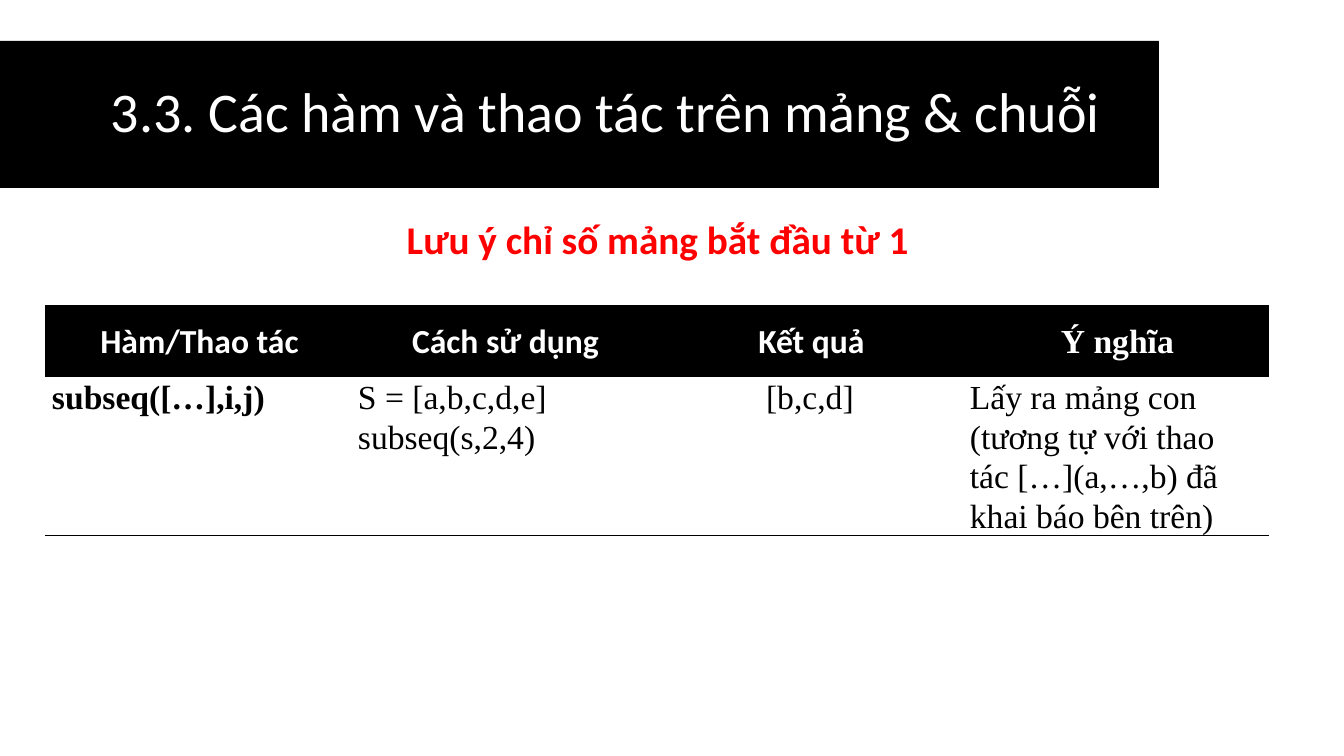
from pptx import Presentation
from pptx import util as u
from pptx.dml.color import RGBColor
from pptx.enum import shapes, text
from pptx.oxml import parse_xml
from pptx.oxml.ns import nsdecls

SANS, SERIF = "Calibri", "Times New Roman"
BLACK, WHITE, RED = "000000", "FFFFFF", "FF0000"
LEFT, CENTER = text.PP_ALIGN.LEFT, text.PP_ALIGN.CENTER
PLAIN_TABLE = "{2D5ABB26-0587-4C30-8999-92F81FD0307C}"

TITLE = "3.3. Các hàm và thao tác trên mảng & chuỗi"
NOTE = "Lưu ý chỉ số mảng bắt đầu từ 1"
# text, font
HEADER = [
    ("Hàm/Thao tác", SANS),
    ("Cách sử dụng", SANS),
    ("Kết quả", SANS),
    ("Ý nghĩa", SERIF),
]
# lines, bold, alignment
BODY = [
    (["subseq([…],i,j)"], True, LEFT),
    (["S = [a,b,c,d,e]", "subseq(s,2,4)"], False, LEFT),
    (["[b,c,d]"], False, CENTER),
    (["Lấy ra mảng con (tương tự với thao tác […](a,…,b) đã khai báo bên trên)"],
     False, LEFT),
]

# Lengths in px
TITLE_AT = (0, 41, 1159, 147)
TITLE_INDENT = 111
NOTE_AT = (100, 216, 1115, 61)
TABLE_LEFT, TABLE_TOP = 45, 305
COLUMN_WIDTH = 306
ROW_HEIGHTS = (71, 158)
HEADER_INSETS = (10, 14, 7, 14)
BODY_INSETS = (7, 0, 7, 0)


def px(length):
    return u.Inches(length / 100.8)


def color(value):
    return RGBColor.from_string(value)


def write(frame, lines, size, font, ink, bold=False, align=LEFT, spacing=0.9):
    frame.word_wrap = True
    for index, line in enumerate(lines):
        para = frame.add_paragraph() if index else frame.paragraphs[0]
        para.text = line
        para.alignment = align
        para.line_spacing = spacing
        para.font.size = u.Pt(size)
        para.font.name = font
        para.font.bold = bold
        para.font.color.rgb = color(ink)


def set_insets(cell, insets):
    (cell.margin_left, cell.margin_top,
     cell.margin_right, cell.margin_bottom) = map(px, insets)


def add_bottom_border(cell):
    cell._tc.get_or_add_tcPr().insert(0, parse_xml(
        f'<a:lnB {nsdecls("a")} w="12700"><a:solidFill>'
        f'<a:srgbClr val="{BLACK}"/></a:solidFill></a:lnB>'))


def add_title(page):
    box = page.shapes.add_shape(shapes.MSO_SHAPE.RECTANGLE, *map(px, TITLE_AT))
    box.shadow.inherit = False
    box.fill.solid()
    box.fill.fore_color.rgb = color(BLACK)
    box.line.fill.background()
    box.text_frame.margin_left = px(TITLE_INDENT)
    box.text_frame.vertical_anchor = text.MSO_ANCHOR.MIDDLE
    write(box.text_frame, [TITLE], 40, SANS, WHITE)


def add_function_table(page):
    table = page.shapes.add_table(
        len(ROW_HEIGHTS), len(HEADER), px(TABLE_LEFT), px(TABLE_TOP),
        px(COLUMN_WIDTH * len(HEADER)), px(sum(ROW_HEIGHTS))).table
    table._tbl.tblPr[0].text = PLAIN_TABLE
    table.horz_banding = False
    for column in table.columns:
        column.width = px(COLUMN_WIDTH)
    for row, height in zip(table.rows, ROW_HEIGHTS):
        row.height = px(height)

    for index, (label, font) in enumerate(HEADER):
        cell = table.cell(0, index)
        set_insets(cell, HEADER_INSETS)
        cell.vertical_anchor = text.MSO_ANCHOR.MIDDLE
        cell.fill.solid()
        cell.fill.fore_color.rgb = color(BLACK)
        write(cell.text_frame, [label], 24, font, WHITE, True, CENTER, 1.07)

    for index, (lines, bold, align) in enumerate(BODY):
        cell = table.cell(1, index)
        set_insets(cell, BODY_INSETS)
        cell.fill.background()
        add_bottom_border(cell)
        write(cell.text_frame, lines, 24, SERIF, BLACK, bold, align, 1.07)


def add_note(page):
    box = page.shapes.add_textbox(*map(px, NOTE_AT))
    write(box.text_frame, [NOTE], 28, SANS, RED, True, CENTER)


def main():
    deck = Presentation()
    deck.slide_width, deck.slide_height = px(1344), px(756)
    page = deck.slides.add_slide(deck.slide_layouts[6])
    add_title(page)
    add_function_table(page)
    add_note(page)
    deck.save("out.pptx")


if __name__ == "__main__":
    main()
